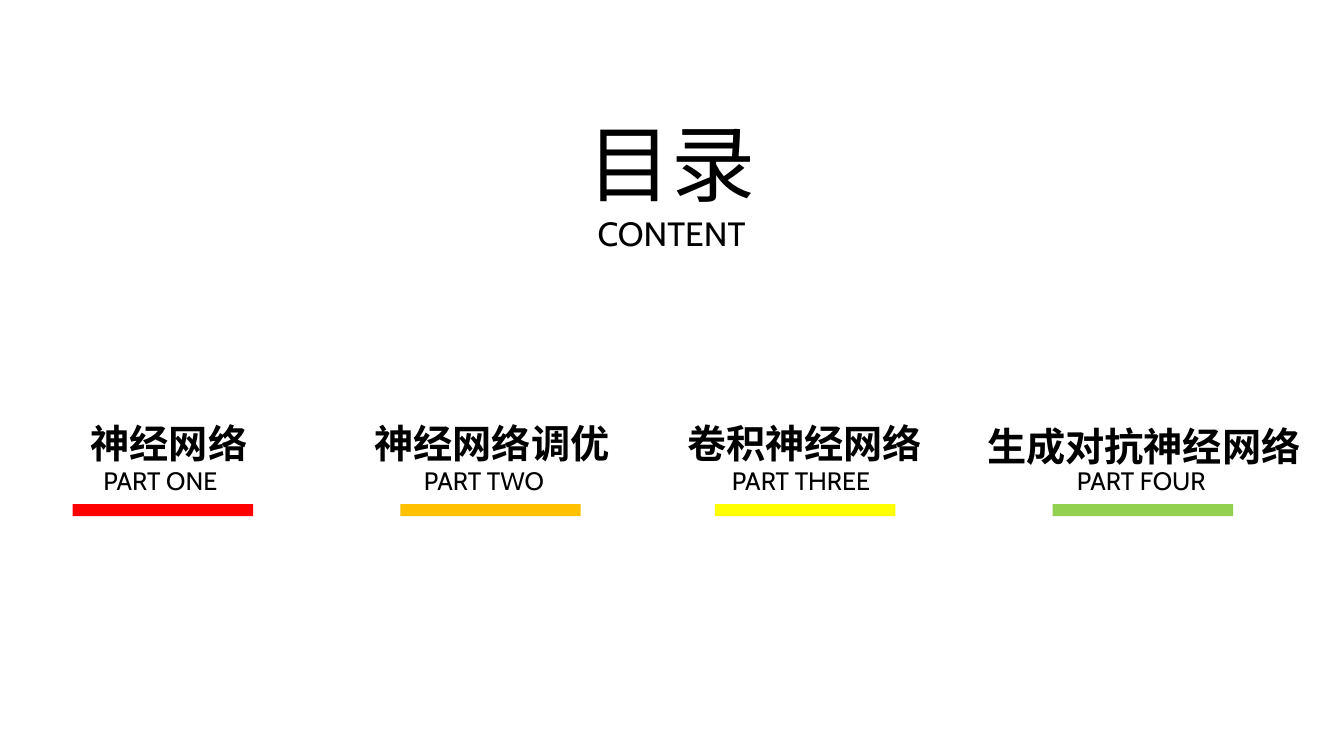
from dataclasses import dataclass

from pptx import Presentation
from pptx.dml.color import RGBColor
from pptx.enum.shapes import MSO_SHAPE
from pptx.enum.text import MSO_AUTO_SIZE, PP_ALIGN
from pptx.slide import Slide
from pptx.util import Inches, Pt

FONT = "Cabin"
COLORS = {
    "text": "000000",
    "red": "FF0000",
    "orange": "FFC000",
    "yellow": "FFFF00",
    "green": "92D050",
}


@dataclass
class Line:
    text: str
    size: int
    bold: bool = False
    space: float = 1.0


@dataclass
class Box:
    left: float
    top: float
    width: float
    height: float


@dataclass
class Part:
    title: str
    label: str
    color: str
    head: Box
    sub: Box
    bar: float


HEAD = Box(5.72, 1.06, 1.88, 1.51)
PARTS = [
    Part("神经网络", "PART ONE", "red",
         Box(0.06, 3.97, 3.23, 0.66), Box(0.79, 4.48, 1.6, 0.49), 0.72),
    Part("神经网络调优", "PART TWO", "orange",
         Box(2.85, 3.97, 4.06, 0.66), Box(3.93, 4.48, 1.74, 0.49), 3.97),
    Part("卷积神经网络", "PART THREE", "yellow",
         Box(6.67, 3.97, 2.62, 0.66), Box(7.01, 4.48, 1.87, 0.49), 7.09),
    Part("生成对抗神经网络", "PART FOUR", "green",
         Box(9.62, 4, 3.45, 0.66), Box(10.55, 4.48, 1.54, 0.49), 10.44),
]


def add_text(slide: Slide, box: Box, lines: list[Line], wrap: bool = True) -> None:
    shape = slide.shapes.add_textbox(
        Inches(box.left), Inches(box.top), Inches(box.width), Inches(box.height))
    frame = shape.text_frame
    frame.word_wrap = wrap
    frame.auto_size = MSO_AUTO_SIZE.SHAPE_TO_FIT_TEXT
    for index, line in enumerate(lines):
        para = frame.add_paragraph() if index else frame.paragraphs[0]
        para.alignment = PP_ALIGN.CENTER
        para.line_spacing = line.space
        run = para.add_run()
        run.text = line.text
        run.font.name = FONT
        run.font.size = Pt(line.size)
        run.font.bold = line.bold
        run.font.color.rgb = RGBColor.from_string(COLORS["text"])


def add_bar(slide: Slide, left: float, color: str) -> None:
    bar = slide.shapes.add_shape(
        MSO_SHAPE.RECTANGLE, Inches(left), Inches(5), Inches(1.79), Inches(0.12))
    bar.shadow.inherit = False
    bar.fill.solid()
    bar.fill.fore_color.rgb = RGBColor.from_string(COLORS[color])
    bar.line.fill.background()


def main() -> None:
    deck = Presentation()
    deck.slide_width = Inches(13.33)
    deck.slide_height = Inches(7.5)
    slide = deck.slides.add_slide(deck.slide_layouts[6])
    add_text(slide, HEAD, [Line("目录", 60), Line("CONTENT", 24)], wrap=False)
    for part in PARTS:
        add_text(slide, part.sub, [Line(part.label, 18, space=1.3)])
        add_text(slide, part.head, [Line(part.title, 28, True, 1.3)])
        add_bar(slide, part.bar, part.color)
    deck.save("out.pptx")


if __name__ == "__main__":
    main()
